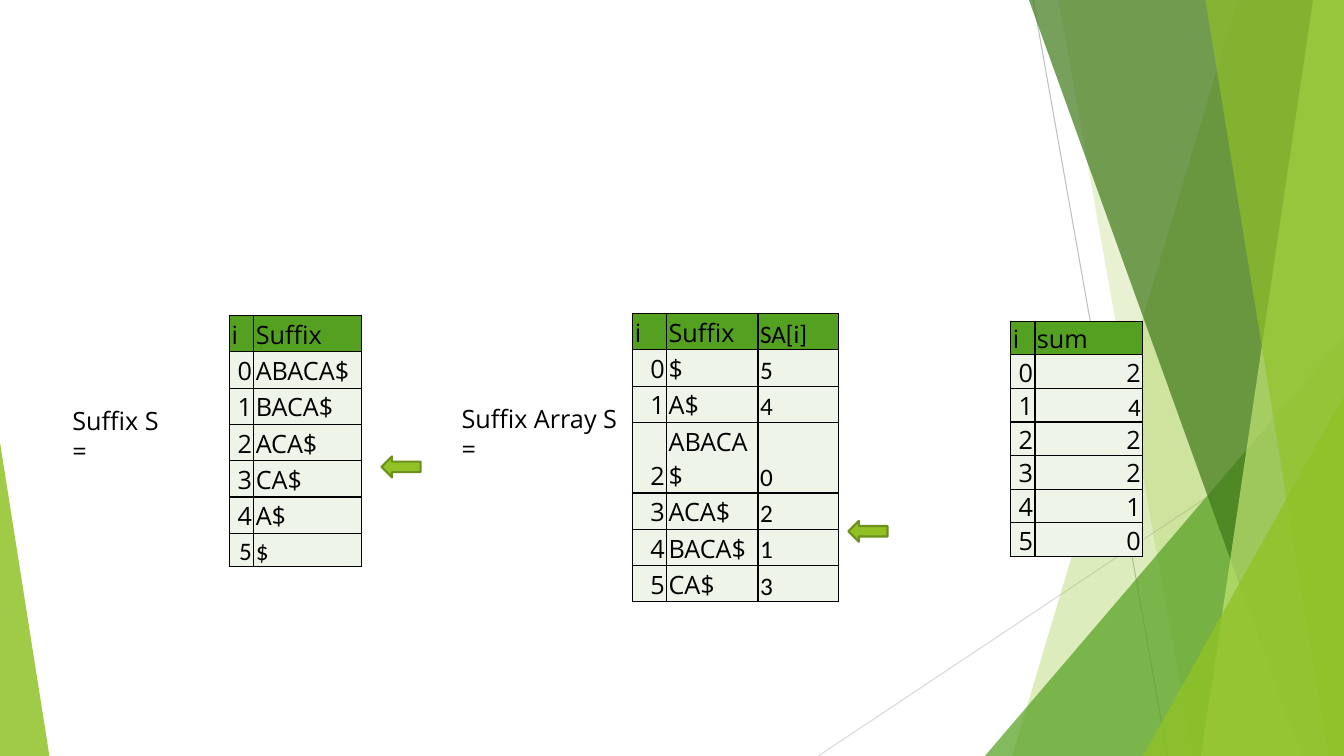
from dataclasses import dataclass

from lxml import etree
from pptx import Presentation
from pptx.dml.color import RGBColor
from pptx.enum.shapes import MSO_CONNECTOR, MSO_SHAPE
from pptx.enum.text import MSO_ANCHOR, PP_ALIGN
from pptx.oxml.ns import qn
from pptx.shapes.autoshape import Shape
from pptx.slide import Slide
from pptx.table import _Cell
from pptx.text.text import _Paragraph
from pptx.util import Pt

STRAIGHT = MSO_CONNECTOR.STRAIGHT
PEAK = MSO_SHAPE.ISOSCELES_TRIANGLE
ARROW = MSO_SHAPE.LEFT_ARROW
BOTTOM = MSO_ANCHOR.BOTTOM
LEFT, RIGHT = PP_ALIGN.LEFT, PP_ALIGN.RIGHT

BLACK = RGBColor(0x00, 0x00, 0x00)
LIME = RGBColor(0x90, 0xC2, 0x26)
GREEN = RGBColor(0x54, 0xA0, 0x21)
FOREST = RGBColor(0x3F, 0x78, 0x19)
PALE = RGBColor(0xC0, 0xE4, 0x74)
OLIVE = RGBColor(0x6B, 0x90, 0x1C)
MINT = RGBColor(0xEE, 0xF4, 0xE8)
GRAY = RGBColor(0xBF, 0xBF, 0xBF)
SILVER = RGBColor(0xD9, 0xD9, 0xD9)

WIDTH, HEIGHT = 960, 540
SANS, PLAIN = "Open Sans", "Calibri"
SIZE = 18
ROW = 24


@dataclass
class Ray:
    start: tuple[float, float]
    end: tuple[float, float]
    color: RGBColor


@dataclass
class Band:
    top: float
    foot: float
    color: RGBColor
    alpha: int


@dataclass
class Corner:
    left: float
    top: float
    width: float
    tip: float
    color: RGBColor
    alpha: int


@dataclass
class Grid:
    left: float
    top: float
    widths: list[float]
    rows: list[list[str]]
    right: set[int]
    plain: set[tuple[int, int]]
    lead: float = 1.0


@dataclass
class Label:
    text: str
    left: float
    top: float
    width: float


RAYS = [
    Ray((738, 0), (834, HEIGHT), GRAY),
    Ray((WIDTH, 290), (584.5, HEIGHT), SILVER),
]
DECOR = [
    Band(884, 723, LIME, 30),
    Band(756, 852, LIME, 20),
    Corner(703.5, 240, 256.5, 1, GREEN, 72),
    Band(735, 929.5, FOREST, 70),
    Band(938, 858, PALE, 70),
    Band(861, 949, LIME, 65),
    Corner(816.5, 283, 143.5, 1, LIME, 80),
    Corner(0, 316, 35.3, 0, LIME, 85),
]

WORD = "ABACA$"
ENDS = [WORD[i:] for i in range(len(WORD))]
ORDER = sorted(range(len(WORD)), key=lambda i: ENDS[i])
SUMS = [2, 4, 2, 2, 1, 0]

GRIDS = [
    Grid(164, 225.4, [17.3, 77],
         [["i", "Suffix"]] + [[str(i), end] for i, end in enumerate(ENDS)],
         {0}, {(6, 0), (6, 1)}),
    Grid(452, 224, [24.2, 65.3, 57.6],
         [["i", "Suffix", "SA[i]"]]
         + [[str(i), ENDS[at], str(at)] for i, at in enumerate(ORDER)],
         {0}, {(row, 2) for row in range(7)}),
    Grid(722, 229.5, [17.3, 77],
         [["i", "sum"]] + [[str(i), str(sum_)] for i, sum_ in enumerate(SUMS)],
         {0, 1}, {(2, 1)}, 0.9),
]
LABELS = [
    Label("Suffix S =", 44.6, 285.8, 86.4),
    Label("Suffix Array S =", 322.6, 284.4, 129.6),
]
ARROWS = [(272.5, 326), (606, 372)]


def style(para: _Paragraph, font: str) -> None:
    for run in para.runs:
        run.font.name = font
        run.font.size = Pt(SIZE)
        run.font.color.rgb = BLACK


def draw_ray(slide: Slide, ray: Ray) -> None:
    ends = [Pt(n) for n in ray.start + ray.end]
    line = slide.shapes.add_connector(STRAIGHT, *ends)
    line.line.color.rgb = ray.color
    line.line.width = Pt(0.75)
    etree.SubElement(line._element.spPr, qn("a:effectLst"))


def tint(shape: Shape, color: RGBColor, alpha: int) -> None:
    shape.shadow.inherit = False
    shape.line.fill.background()
    shape.fill.solid()
    shape.fill.fore_color.rgb = color
    mark = shape._element.spPr.find(".//" + qn("a:srgbClr"))
    etree.SubElement(mark, qn("a:alpha"), val=str(alpha * 1000))


def draw_band(slide: Slide, band: Band) -> None:
    pen = slide.shapes.build_freeform(Pt(band.top), 0)
    edge = [(WIDTH, 0), (WIDTH, HEIGHT), (band.foot, HEIGHT)]
    pen.add_line_segments([(Pt(x), Pt(y)) for x, y in edge])
    tint(pen.convert_to_shape(), band.color, band.alpha)


def draw_corner(slide: Slide, corner: Corner) -> None:
    shape = slide.shapes.add_shape(
        PEAK, Pt(corner.left), Pt(corner.top),
        Pt(corner.width), Pt(HEIGHT - corner.top))
    shape.adjustments[0] = corner.tip
    tint(shape, corner.color, corner.alpha)


def frame(cell: _Cell) -> None:
    props = cell._tc.get_or_add_tcPr()
    for side in ("lnL", "lnR", "lnT", "lnB"):
        line = etree.SubElement(props, qn("a:" + side), w=str(Pt(1)))
        fill = etree.SubElement(line, qn("a:solidFill"))
        etree.SubElement(fill, qn("a:srgbClr"), val=str(BLACK))


def draw_grid(slide: Slide, grid: Grid) -> None:
    count = len(grid.rows)
    table = slide.shapes.add_table(
        count, len(grid.widths), Pt(grid.left), Pt(grid.top),
        Pt(sum(grid.widths)), Pt(ROW * count)).table
    table.first_row = table.horz_banding = False
    for col, width in zip(table.columns, grid.widths):
        col.width = Pt(width)
    for r, texts in enumerate(grid.rows):
        table.rows[r].height = Pt(ROW)
        for c, text in enumerate(texts):
            cell = table.cell(r, c)
            frame(cell)
            cell.fill.solid()
            cell.fill.fore_color.rgb = MINT if r else GREEN
            cell.margin_left = cell.margin_right = cell.margin_top = Pt(1.4)
            cell.margin_bottom = 0
            cell.vertical_anchor = BOTTOM
            cell.text_frame.text = text
            para = cell.text_frame.paragraphs[0]
            para.alignment = RIGHT if r and c in grid.right else LEFT
            para.line_spacing = grid.lead
            style(para, PLAIN if (r, c) in grid.plain else SANS)


def draw_label(slide: Slide, label: Label) -> None:
    box = slide.shapes.add_textbox(
        Pt(label.left), Pt(label.top), Pt(label.width), Pt(29))
    box.text_frame.word_wrap = True
    box.text_frame.text = label.text
    style(box.text_frame.paragraphs[0], SANS)


def draw_arrow(slide: Slide, left: float, top: float) -> None:
    shape = slide.shapes.add_shape(ARROW, Pt(left), Pt(top), Pt(28), Pt(15))
    shape.shadow.inherit = False
    shape.fill.solid()
    shape.fill.fore_color.rgb = LIME
    shape.line.color.rgb = OLIVE
    shape.line.width = Pt(1.5)


deck = Presentation()
deck.slide_width, deck.slide_height = Pt(WIDTH), Pt(HEIGHT)
page = deck.slides.add_slide(deck.slide_layouts[6])
for ray in RAYS:
    draw_ray(page, ray)
for part in DECOR:
    if isinstance(part, Band):
        draw_band(page, part)
    else:
        draw_corner(page, part)
for grid in GRIDS:
    draw_grid(page, grid)
for label in LABELS:
    draw_label(page, label)
for left, top in ARROWS:
    draw_arrow(page, left, top)
deck.save("out.pptx")
